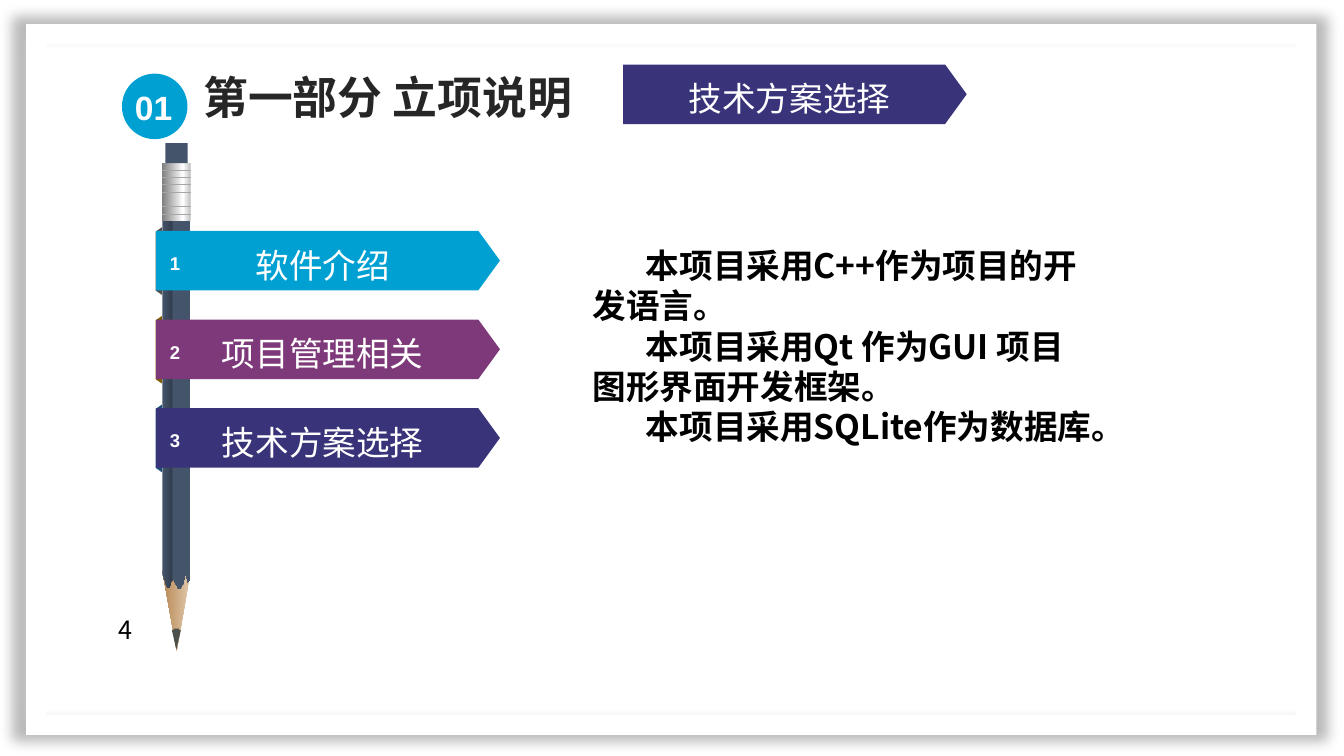
from dataclasses import dataclass
from lxml.etree import SubElement
from pptx import Presentation
from pptx.dml.color import RGBColor
from pptx.enum.shapes import MSO_SHAPE as Kind, MSO_CONNECTOR as Wire
from pptx.enum.text import MSO_ANCHOR as Anchor, MSO_AUTO_SIZE as Fit, PP_ALIGN as Align
from pptx.oxml import parse_xml
from pptx.oxml.ns import qn
from pptx.util import Pt

NS = 'xmlns:a="http://schemas.openxmlformats.org/drawingml/2006/main"'


@dataclass(frozen=True)
class Theme:
    latin: str = "Arial"
    cjk: str = "Noto Sans CJK SC"
    white: str = "FFFFFF"
    black: str = "000000"
    ink: str = "262626"
    cyan: str = "00A1D2"
    plum: str = "7E397A"
    navy: str = "39337A"
    slate: str = "44546A"
    shade: str = "333F50"
    lead: str = "4C504C"
    ring: str = "A6A6A6"
    folds: tuple = ("525252", "806000", "1F4E79")
    wood: tuple = ((0, "E1C9AF"), (100, "B88954"))
    metal: tuple = ((0, "BFBFBF"), (27, "FFFFFF"), (100, "808080"))
    title: float = 32
    body: float = 24
    page: float = 18
    small: float = 13.2


def curve(p, a, b, q, steps=8):
    """Points on a cubic curve from p to q, p left out."""
    for i in range(1, steps + 1):
        t = i / steps
        u = 1 - t
        yield tuple(u**3 * p[k] + 3 * u * u * t * a[k] + 3 * u * t * t * b[k] + t**3 * q[k]
                    for k in (0, 1))


class Painter:
    def __init__(self, slide, theme):
        self.slide = slide
        self.shapes = slide.shapes
        self.theme = theme

    def paint(self, shape, fill, angle=0):
        """Fill with one colour, or with a tuple of gradient stops."""
        shape.shadow.inherit = False
        shape.line.fill.background()
        if isinstance(fill, str):
            shape.fill.solid()
            shape.fill.fore_color.rgb = RGBColor.from_string(fill)
            return shape
        stops = "".join(f'<a:gs pos="{pos * 1000}"><a:srgbClr val="{tone}"/></a:gs>'
                        for pos, tone in fill)
        grad = parse_xml(f'<a:gradFill {NS} rotWithShape="1"><a:gsLst>{stops}</a:gsLst>'
                         f'<a:lin ang="{angle * 60000}" scaled="0"/></a:gradFill>')
        props = shape.element.spPr
        geom = props.find(qn("a:prstGeom"))
        if geom is None:
            geom = props.find(qn("a:custGeom"))
        geom.addnext(grad)
        return shape

    def shape(self, kind, box, fill, adj=None, turn=0, angle=0):
        item = self.shapes.add_shape(kind, *map(Pt, box))
        item.rotation = turn
        if adj is not None:
            item.adjustments[0] = adj
        return self.paint(item, fill, angle)

    def free(self, points, fill, angle=0):
        pen = self.shapes.build_freeform(*points[0], scale=12700)
        pen.add_line_segments(points[1:], close=True)
        return self.paint(pen.convert_to_shape(), fill, angle)

    def rule(self, left, right, y, tone, width):
        line = self.shapes.add_connector(Wire.STRAIGHT, Pt(left), Pt(y), Pt(right), Pt(y))
        line.line.color.rgb = RGBColor.from_string(tone)
        line.line.width = Pt(width)
        SubElement(line.element.spPr, qn("a:effectLst"))

    def glow(self, shape, blur, alpha, scale):
        effect = shape.element.spPr.find(qn("a:effectLst"))
        effect.append(parse_xml(
            f'<a:outerShdw {NS} blurRad="{Pt(blur)}" sx="{scale * 1000}" sy="{scale * 1000}" '
            f'algn="ctr" rotWithShape="0"><a:srgbClr val="{self.theme.black}">'
            f'<a:alpha val="{alpha * 1000}"/></a:srgbClr></a:outerShdw>'))

    def letter(self, frame, lines, size, tone, bold=False, font=None,
               align=Align.LEFT, space=None, indent=0):
        for i, line in enumerate(lines):
            para = frame.paragraphs[0] if i == 0 else frame.add_paragraph()
            para.alignment = align
            if space:
                para.line_spacing = space
            if indent:
                para._p.get_or_add_pPr().set("indent", str(Pt(indent)))
            run = para.add_run()
            run.text = line
            run.font.size = Pt(size)
            run.font.bold = bold
            run.font.name = font or self.theme.latin
            run.font.color.rgb = RGBColor.from_string(tone)
            east = SubElement(run.font._element, qn("a:ea"))
            east.set("typeface", self.theme.cjk)

    def text(self, box, lines, size, tone, wrap=True, **look):
        frame = self.shapes.add_textbox(*map(Pt, box)).text_frame
        frame.word_wrap = wrap
        frame.auto_size = Fit.SHAPE_TO_FIT_TEXT
        self.letter(frame, lines, size, tone, **look)

    def banner(self, left, top, label, fill):
        item = self.shape(Kind.PENTAGON, (left, top, 245.5, 42.5), fill, 0.363)
        frame = item.text_frame
        frame.word_wrap = True
        frame.vertical_anchor = Anchor.MIDDLE
        self.letter(frame, [label], self.theme.body, self.theme.white,
                    align=Align.CENTER, space=1.2)


def pencil(art):
    look = art.theme
    left, right, top = 116, 136.2, 157.7
    # Wooden tip
    art.shape(Kind.PENTAGON, (97.7, 426.2, 56.9, 20.2), look.wood, 2.816, 90, 90)
    # Shaft with a wavy lower edge
    waves = [
        ((136.2, 413.3), (135.4, 415.4), (133.9, 416.2)),
        ((133.2, 414.7), (133.9, 410.4), (132.5, 411.1)),
        ((131.8, 412.6), (129.6, 421.2), (128.2, 421.2)),
        ((126.7, 421.9), (125.3, 414), (123.8, 414)),
        ((122.4, 413.3), (121.7, 420.5), (120.2, 419.8)),
        ((118.1, 417.6), (116.6, 413.3), (116, 409.7)),
    ]
    edge = [(left, top), (right, top), (right, 408.2)]
    for wave in waves:
        edge += curve(edge[-1], *wave)
    stops = ((0, look.slate), (34, look.shade), (38, look.slate), (100, look.slate))
    art.free(edge, stops)
    # Metal sleeve and end cap
    art.shape(Kind.RECTANGLE, (left, 116.6, 20.2, 41.1), look.metal, angle=180)
    art.shape(Kind.RECTANGLE, (118.1, 102.2, 15.9, 14.4), look.slate)
    # Lead point
    tip = [(126, 448.6), *curve((126, 448.6), (127.4, 448.6), (128.2, 449.3), (128.9, 450.7)),
           (126, 464.4), (123.1, 450.7),
           *curve((123.1, 450.7), (123.8, 449.3), (124.6, 448.6), (126, 448.6))]
    art.free(tip, look.lead)
    # Rings on the sleeve
    for y in (121.7, 126.7, 131.8, 137.5, 147.6, 153.4):
        art.rule(left, right, y, look.ring, 0.5)


def main():
    deck = Presentation()
    deck.slide_width, deck.slide_height = Pt(960), Pt(540)
    look = Theme()
    art = Painter(deck.slides.add_slide(deck.slide_layouts[6]), look)

    # Page frame
    frame = art.shape(Kind.FRAME, (18.7, 17.3, 921.6, 507.6), look.white, 0.028)
    art.glow(frame, 9, 27, 102)

    # Heading
    art.text((138.2, 38.2, 306.7, 51.1), ["第一部分 立项说明"], look.title, look.ink,
             bold=True, space=1.2)
    art.shape(Kind.OVAL, (87.1, 52.6, 46.8, 46.8), look.cyan)
    art.text((89.3, 58.3, 44.6, 36), ["01"], look.body, look.white, bold=True)

    pencil(art)

    # Topic banners, with folds behind them
    topics = [("软件介绍", look.cyan), ("项目管理相关", look.plum), ("技术方案选择", look.navy)]
    start, step = 164.9, 63.35
    for i, fold in enumerate(look.folds):
        art.shape(Kind.TRAPEZOID, (89.3, start + 19.4 + i * step, 48.2, 4.3), fold, 0.698, 270)
    for i, (label, fill) in enumerate(topics):
        y = start + i * step
        art.banner(111.6, y, label, fill)
        art.text((113.8, y + 8.4, 22.3, 24.5), [str(i + 1)], look.small, look.white,
                 wrap=False, bold=True, align=Align.CENTER, space=1.2)

    # Page number
    art.text((77.8, 435.6, 24.5, 28.8), ["4"], look.page, look.black, wrap=False, font=look.cjk)

    # Body text
    art.text((416.2, 171.4, 373.7, 152.6),
             ["本项目采用C++作为项目的开发语言。",
              "本项目采用Qt 作为GUI 项目图形界面开发框架。",
              "本项目采用SQLite作为数据库。"],
             look.body, look.black, bold=True, font=look.cjk, indent=38)

    # Current topic
    art.banner(445, 46.1, topics[-1][0], look.navy)

    deck.save("out.pptx")


if __name__ == "__main__":
    main()
